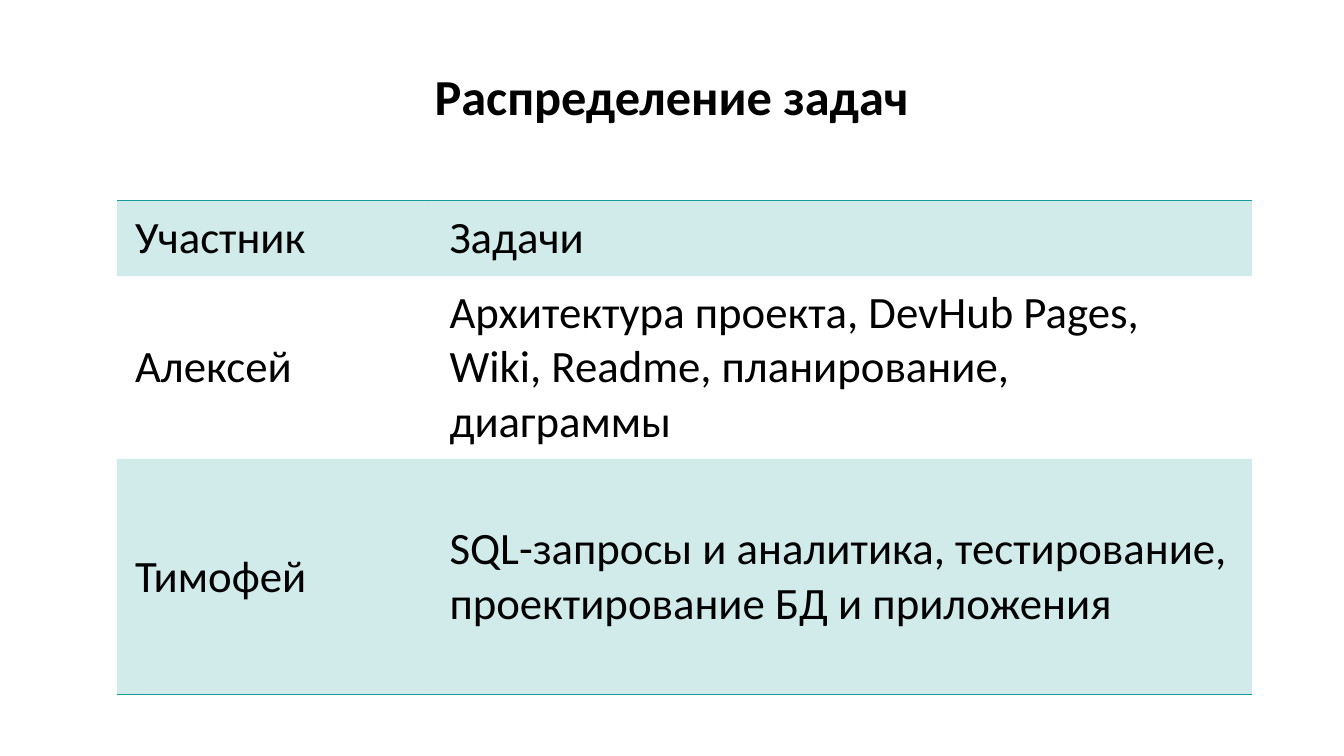
from lxml import etree
from pptx import Presentation
from pptx import util as u
from pptx.dml.color import RGBColor
from pptx.enum import text
from pptx.oxml.ns import qn

COLORS = {"text": "000000", "teal": "169C9A"}
FONT = "Calibri"
NO_STYLE = "{2D5ABB26-0587-4C30-8999-92F81FD0307C}"
TASKS = [
    ("Участник", "Задачи"),
    ("Алексей", "Архитектура проекта, DevHub Pages, Wiki, Readme, планирование, диаграммы"),
    ("Тимофей", "SQL-запросы и аналитика, тестирование, проектирование БД и приложения"),
]
COL_WIDTHS = [224.6, 586.1]
ROW_HEIGHTS = [54, 130.5, 168.5]


def add_run(p, words, size, bold=False):
    r = p.add_run()
    r.text = words
    r.font.name = FONT
    r.font.size = u.Pt(size)
    r.font.bold = bold
    r.font.color.rgb = RGBColor.from_string(COLORS["text"])


def add_border(cell, side):
    ln = etree.Element(qn("a:" + side), w=str(u.Pt(1)))
    fill = etree.SubElement(ln, qn("a:solidFill"))
    etree.SubElement(fill, qn("a:srgbClr"), val=COLORS["teal"])
    cell._tc.get_or_add_tcPr().insert(0, ln)


prs = Presentation()
prs.slide_width, prs.slide_height = u.Pt(960), u.Pt(540)
s = prs.slides.add_slide(prs.slide_layouts[6])

title = s.shapes.add_textbox(u.Pt(136), u.Pt(39.6), u.Pt(687.6), u.Pt(54))
tf = title.text_frame
tf.word_wrap = True
tf.vertical_anchor = text.MSO_ANCHOR.BOTTOM
p = tf.paragraphs[0]
p.alignment = text.PP_ALIGN.CENTER
p.line_spacing = 0.9
add_run(p, "Распределение задач", 36, True)

frame = s.shapes.add_table(
    len(TASKS), len(COL_WIDTHS), u.Pt(83.5), u.Pt(143.3),
    u.Pt(sum(COL_WIDTHS)), u.Pt(sum(ROW_HEIGHTS)))
table = frame.table
table._tbl.tblPr.find(qn("a:tableStyleId")).text = NO_STYLE
for column, width in zip(table.columns, COL_WIDTHS):
    column.width = u.Pt(width)

for i, (row, height) in enumerate(zip(table.rows, ROW_HEIGHTS)):
    row.height = u.Pt(height)
    for cell, words in zip(row.cells, TASKS[i]):
        cell.vertical_anchor = text.MSO_ANCHOR.MIDDLE
        cell.margin_left = cell.margin_right = u.Pt(13)
        cell.margin_top = cell.margin_bottom = u.Pt(6.5)
        add_run(cell.text_frame.paragraphs[0], words, 32)
        if i % 2:
            cell.fill.background()
        else:
            cell.fill.solid()
            cell.fill.fore_color.rgb = RGBColor.from_string(COLORS["teal"])
            tint = cell._tc.tcPr.find(qn("a:solidFill")).find(qn("a:srgbClr"))
            etree.SubElement(tint, qn("a:alpha"), val="20000")
        if i == 0:
            add_border(cell, "lnT")
        if i == len(TASKS) - 1:
            add_border(cell, "lnB")

prs.save("out.pptx")
